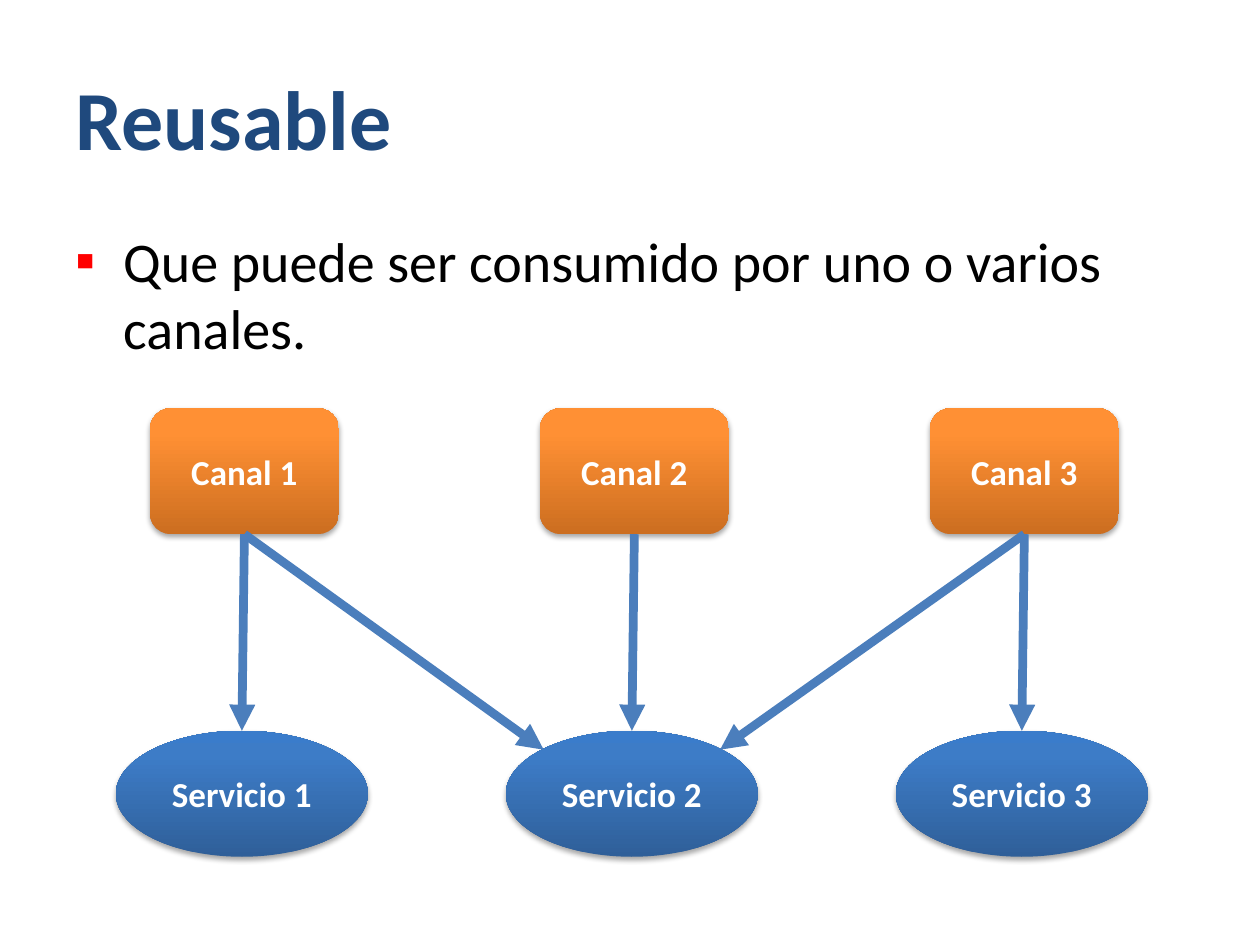
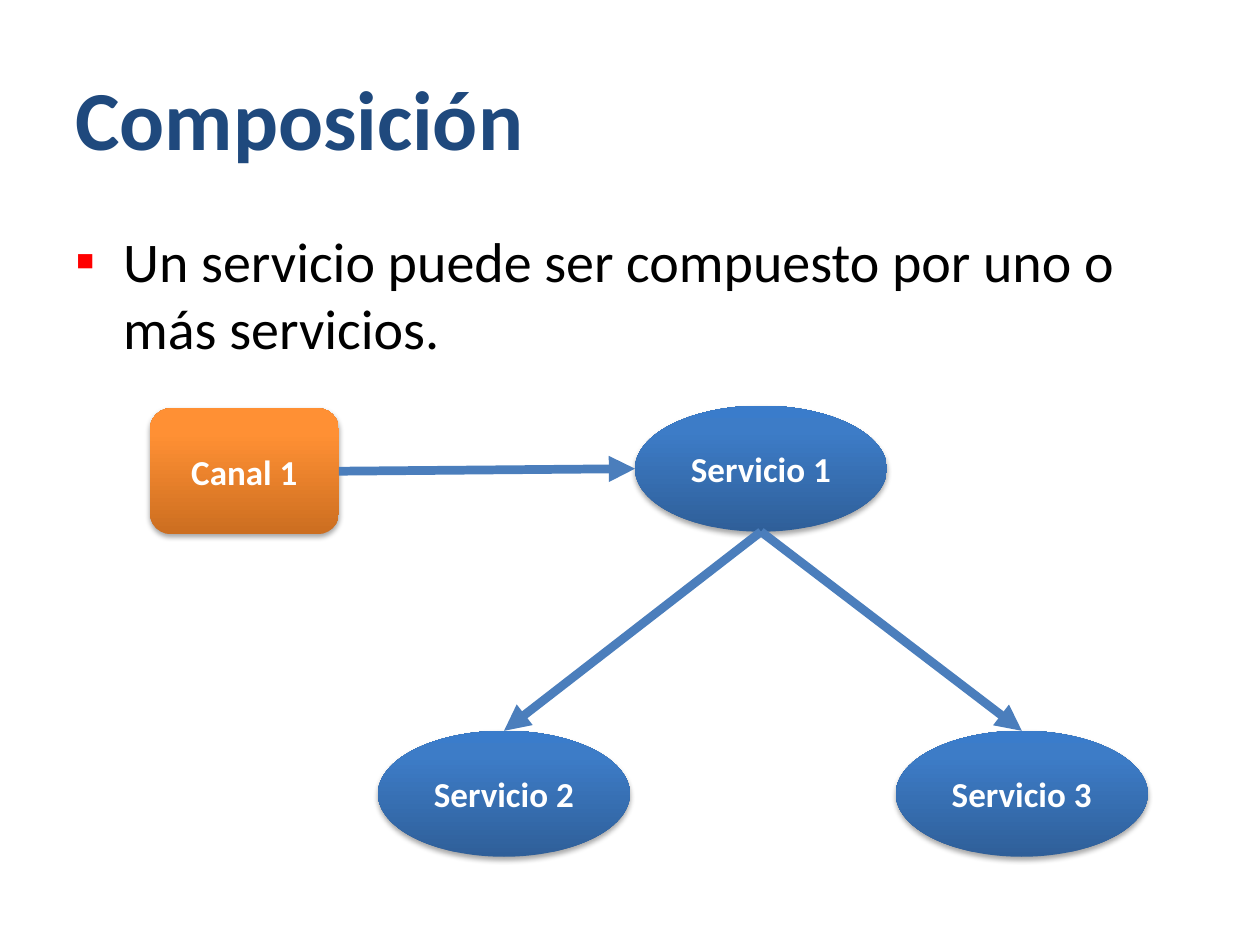
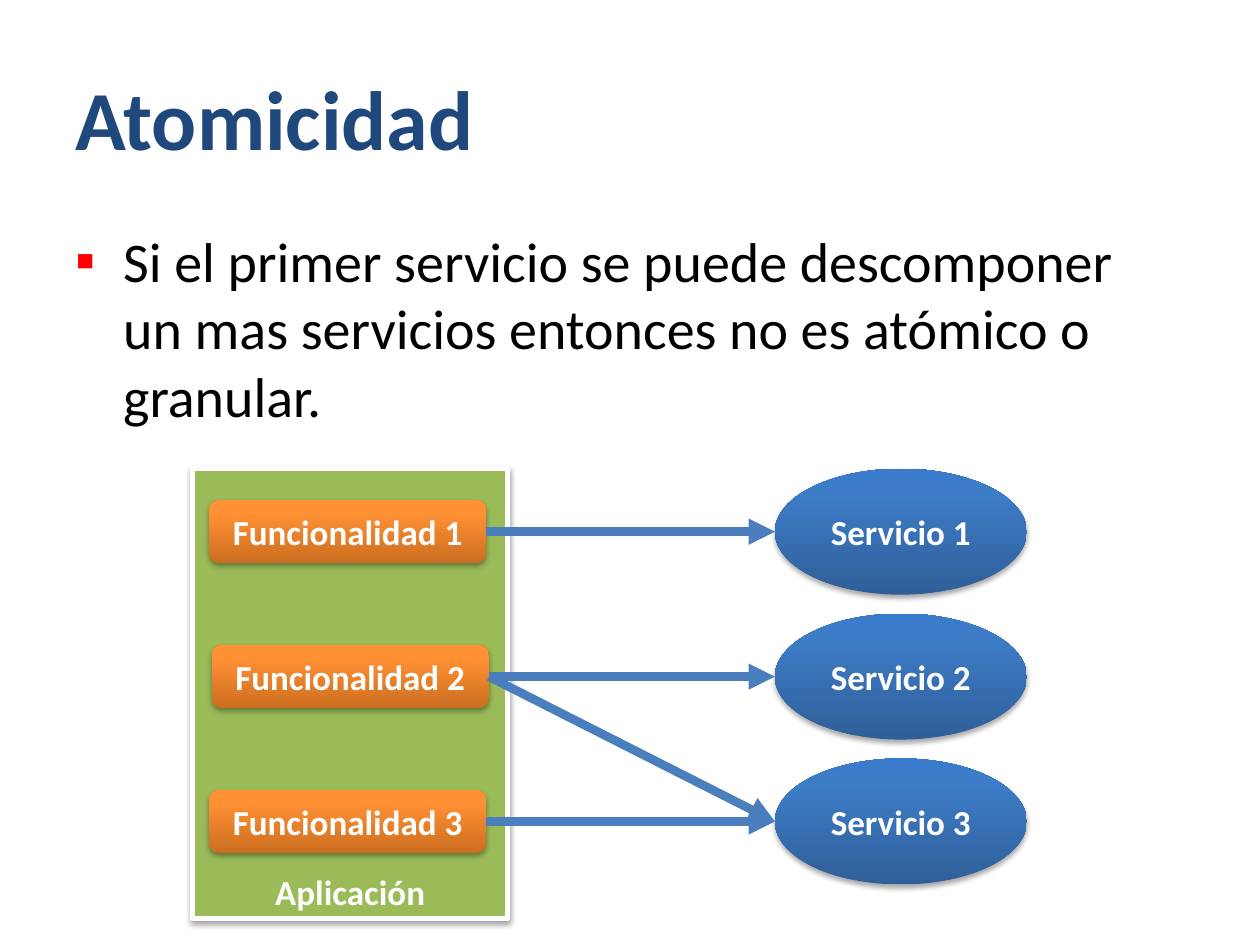
from copy import deepcopy

from pptx import Presentation
from pptx import util as u
from pptx.dml.color import RGBColor
from pptx.enum import shapes, text
from pptx.oxml import parse_xml
from pptx.oxml.ns import nsdecls, qn


class Theme:
    font = "Calibri"
    title, body, label = 48, 32, 20
    navy, black, white, red = "1F497D", "000000", "FFFFFF", "FF0000"
    green, arrow = "9BBB59", "4B7EBC"
    orange = ("CC6E20", "FF9034", "FF9136")
    blue = ("2F5F99", "3D7CC7", "3A7CCB")
    stops = (0, 0.8, 1)


KIND = shapes.MSO_SHAPE
ROUND, OVAL, RECT = KIND.ROUNDED_RECTANGLE, KIND.OVAL, KIND.RECTANGLE
MID, LOW = text.MSO_ANCHOR.MIDDLE, text.MSO_ANCHOR.BOTTOM

# Spots on a shape as shares of its width and height; the first four are sides.
TOP, LEFT, BASE, RIGHT, NW, NE = range(6)
SPOTS = ((0.5, 0), (0, 0.5), (0.5, 1), (1, 0.5), (0.15, 0.15), (0.85, 0.15))

# Grid in inches: first columns, column step, and rows of the diagrams.
CARD_X, OVAL_X, STEP = 1.19, 0.92, 3.095
HIGH_Y, DEEP_Y = 3.24, 5.8
CARD, DISC, BAR = (1.5, 1), (2, 1), (2.2, 0.5)
LIST_Y, PITCH = 3.72, 1.15


def put(slide, words, spot, size, kind=None, fill=None, point=Theme.label,
        color=Theme.white, bold=True, anchor=MID, bullet=False):
    """Add words in a shape, or in a plain text box if kind is None."""
    box = [u.Inches(n) for n in (*spot, *size)]
    if kind is None:
        shape = slide.shapes.add_textbox(*box)
    else:
        shape = slide.shapes.add_shape(kind, *box)
        props = shape._element.spPr
        if isinstance(fill, tuple):
            shape.fill.gradient()
            shape.fill.gradient_angle = 90
            stops = props.find(".//" + qn("a:gsLst"))
            stops.append(deepcopy(stops[0]))
            for stop, place, tone in zip(shape.fill.gradient_stops, Theme.stops, fill):
                stop.position = place
                stop.color.rgb = RGBColor.from_string(tone)
            shape.line.fill.background()
        else:
            shape.fill.solid()
            shape.fill.fore_color.rgb = RGBColor.from_string(fill)
            shape.line.color.rgb = RGBColor.from_string(Theme.white)
            shape.line.width = u.Pt(3)
        shape.shadow.inherit = False
        props.find(qn("a:effectLst")).append(parse_xml(
            f'<a:outerShdw {nsdecls("a")} blurRad="40000" dist="23000" dir="5400000" '
            f'rotWithShape="0"><a:srgbClr val="{Theme.black}"><a:alpha val="35000"/>'
            '</a:srgbClr></a:outerShdw>'))
    frame = shape.text_frame
    frame.word_wrap = True
    frame.vertical_anchor = anchor
    para = frame.paragraphs[0]
    para.alignment = text.PP_ALIGN.CENTER if kind else text.PP_ALIGN.LEFT
    run = para.add_run()
    run.text = words
    run.font.name, run.font.size, run.font.bold = Theme.font, u.Pt(point), bold
    run.font.color.rgb = RGBColor.from_string(color)
    if bullet:
        para.space_before = u.Pt(0.2 * point)
        props = para._p.get_or_add_pPr()
        props.set("marL", str(u.Inches(0.38)))
        props.set("indent", str(-u.Inches(0.38)))
        for part in (f'<a:buClr {nsdecls("a")}><a:srgbClr val="{Theme.red}"/></a:buClr>',
                     f'<a:buFont {nsdecls("a")} typeface="{Theme.font}"/>',
                     f'<a:buChar {nsdecls("a")} char="▪"/>'):
            props.append(parse_xml(part))
    return shape


def link(slide, start, out, end, into):
    """Draw an arrow from spot out of start to spot into of end."""
    ends = [(round(s.left + SPOTS[n][0] * s.width), round(s.top + SPOTS[n][1] * s.height))
            for s, n in ((start, out), (end, into))]
    line = slide.shapes.add_connector(shapes.MSO_CONNECTOR.STRAIGHT, *ends[0], *ends[1])
    if start.auto_shape_type == ROUND:
        line.begin_connect(start, out)
    if into == TOP:
        line.end_connect(end, into)
    line.line.color.rgb = RGBColor.from_string(Theme.arrow)
    line.line.width = u.Pt(5)
    props = line._element.spPr
    props.find(qn("a:ln")).append(parse_xml(f'<a:tailEnd {nsdecls("a")} type="triangle"/>'))
    props.append(parse_xml(f'<a:effectLst {nsdecls("a")}/>'))


deck = Presentation()
deck.slide_width, deck.slide_height = u.Inches(10), u.Inches(7.5)

card = dict(kind=ROUND, fill=Theme.orange)
disc = dict(kind=OVAL, fill=Theme.blue)

pages = []
for title, body, tall in (
    ("Reusable", "Que puede ser consumido por uno o varios canales.", 1.29),
    ("Composición", "Un servicio puede ser compuesto por uno o más servicios.", 4.95),
    ("Atomicidad", "Si el primer servicio se puede descomponer un mas servicios "
                   "entonces no es atómico o granular.", 4.95),
):
    page = deck.slides.add_slide(deck.slide_layouts[6])
    put(page, title, (0.5, 0.3), (9, 1.25), point=Theme.title, color=Theme.navy)
    put(page, body, (0.5, 1.75), (9, tall), point=Theme.body, color=Theme.black,
        bold=False, anchor=text.MSO_ANCHOR.TOP, bullet=True)
    pages.append(page)
reuse, blend, atom = pages

# Reusable: three channels above three services
cards = [put(reuse, f"Canal {i + 1}", (CARD_X + i * STEP, HIGH_Y), CARD, **card)
         for i in range(3)]
discs = [put(reuse, f"Servicio {i + 1}", (OVAL_X + i * STEP, DEEP_Y), DISC, **disc)
         for i in range(3)]
for a, b, into in ((0, 0, TOP), (0, 1, NW), (1, 1, TOP), (2, 1, NE), (2, 2, TOP)):
    link(reuse, cards[a], BASE, discs[b], into)

# Composición: one service built from two others
source = put(blend, "Canal 1", (CARD_X, HIGH_Y), CARD, **card)
whole = put(blend, "Servicio 1", (5.04, 3.22), DISC, **disc)
parts = [put(blend, f"Servicio {n}", (x, DEEP_Y), DISC, **disc)
         for n, x in ((2, 3), (3, OVAL_X + 2 * STEP))]
link(blend, source, RIGHT, whole, LEFT)
for part in parts:
    link(blend, whole, BASE, part, TOP)

# Atomicidad: functions of one application, each with its services
put(atom, "Aplicación", (1.53, LIST_Y), (2.5, 3.57), kind=RECT, fill=Theme.green, anchor=LOW)
bars = [put(atom, f"Funcionalidad {i + 1}", (x, LIST_Y + 0.25 + i * PITCH), BAR, **card)
        for i, x in enumerate((1.66, 1.68, 1.66))]
discs = [put(atom, f"Servicio {i + 1}", (6.15, LIST_Y + i * PITCH), DISC, **disc)
         for i in range(3)]
for a, b in ((0, 0), (1, 2), (1, 1), (2, 2)):
    link(atom, bars[a], RIGHT, discs[b], LEFT)

deck.save("out.pptx")
